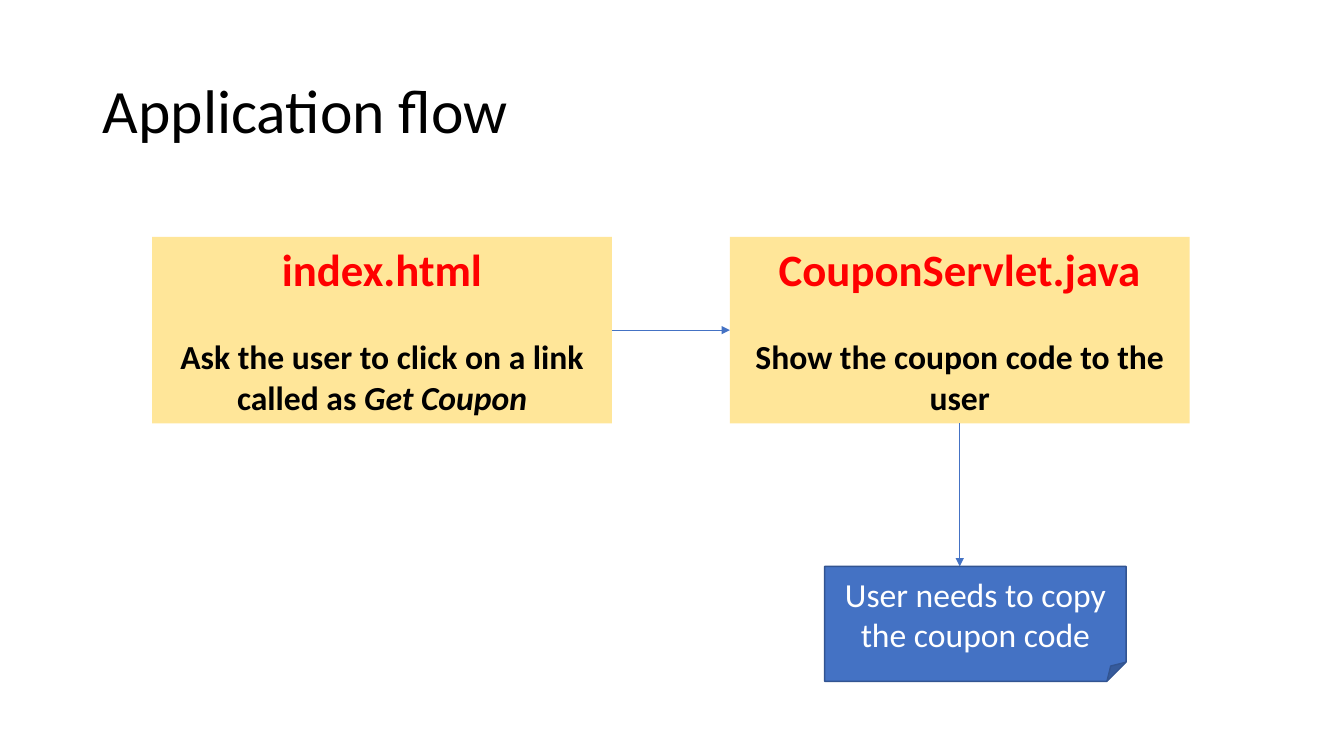
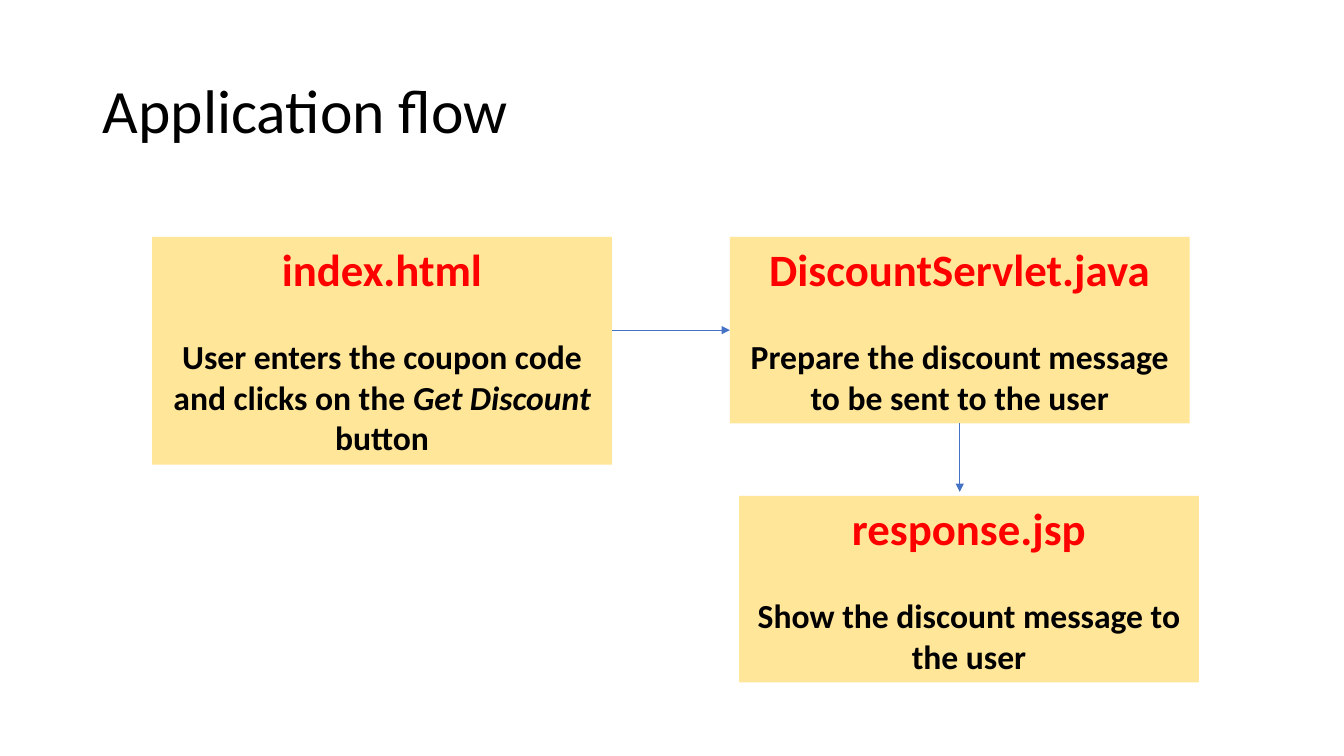
from dataclasses import dataclass

from lxml import etree
from pptx import Presentation
from pptx import util as u
from pptx.dml.color import RGBColor as Rgb
from pptx.enum import shapes, text
from pptx.oxml import ns


@dataclass(frozen=True)
class Theme:
    face: str = "Calibri"
    ink: str = "000000"
    head: str = "FF0000"
    card: str = "FFE699"
    blue: str = "4472C4"
    edge: str = "325491"
    pale: str = "FFFFFF"
    big: int = 44
    mid: int = 32
    base: int = 24
    hair: float = 0.5
    rim: int = 1


LEFT, RIGHT = 11.33, 54.31
TOP, LOW = 31.33, 65.6
WIDE, HIGH, TALL = 34.2, 24.67, 30.13
MID = RIGHT + WIDE / 2
FLOW = TOP + HIGH / 2
WEST, SOUTH, EAST = 1, 2, 3


class Deck:
    def __init__(self, theme):
        self.theme = theme
        self.show = Presentation()
        self.show.slide_width = u.Inches(13.33)
        self.show.slide_height = u.Inches(7.5)
        self.slide = None

    def place(self, *shares):
        sizes = (self.show.slide_width, self.show.slide_height) * 2
        return [u.Emu(round(size * share / 100)) for size, share in zip(sizes, shares)]

    def style(self, para, size, color, bold=False, align=text.PP_ALIGN.CENTER):
        font = para.font
        font.name, font.size, font.bold = self.theme.face, u.Pt(size), bold
        font.color.rgb = Rgb.from_string(color)
        para.alignment = align

    def page(self, title):
        self.slide = self.show.slides.add_slide(self.show.slide_layouts[5])
        head = self.slide.shapes.title
        head.left, head.top, head.width, head.height = self.place(6.9, 5.33, 86.27, 19.33)
        frame = head.text_frame
        frame.text = title
        frame.auto_size = text.MSO_AUTO_SIZE.NONE
        frame.vertical_anchor = text.MSO_ANCHOR.MIDDLE
        para = frame.paragraphs[0]
        para.line_spacing = 0.9
        self.style(para, self.theme.big, self.theme.ink, align=text.PP_ALIGN.LEFT)

    def shape(self, kind, area, fill):
        item = self.slide.shapes.add_shape(kind, *self.place(*area))
        item.shadow.inherit = False
        item.fill.solid()
        item.fill.fore_color.rgb = Rgb.from_string(fill)
        item.text_frame.word_wrap = True
        return item

    def card(self, left, top, height, name, *parts):
        area = (left, top, WIDE, height)
        box = self.shape(shapes.MSO_SHAPE.RECTANGLE, area, self.theme.card)
        box.line.fill.background()
        frame = box.text_frame
        frame.auto_size = text.MSO_AUTO_SIZE.SHAPE_TO_FIT_TEXT
        frame.vertical_anchor = text.MSO_ANCHOR.TOP
        head = frame.paragraphs[0]
        head.text = name
        head.space_after = u.Pt(29)
        self.style(head, self.theme.mid, self.theme.head, True)
        body = frame.add_paragraph()
        self.style(body, self.theme.base, self.theme.ink, True)
        for spot, part in enumerate(parts):
            run = body.add_run()
            run.text = part
            if spot % 2:
                run.font.italic = True
        return box

    def note(self, area, words):
        item = self.shape(shapes.MSO_SHAPE.FOLDED_CORNER, area, self.theme.blue)
        item.line.color.rgb = Rgb.from_string(self.theme.edge)
        item.line.width = u.Pt(self.theme.rim)
        frame = item.text_frame
        frame.text = words
        frame.vertical_anchor = text.MSO_ANCHOR.MIDDLE
        self.style(frame.paragraphs[0], self.theme.base, self.theme.pale)

    def arrow(self, start, end, source=None, target=None):
        link = self.slide.shapes.add_connector(
            shapes.MSO_CONNECTOR.STRAIGHT, *self.place(*start, *end))
        if source:
            link.begin_connect(*source)
        if target:
            link.end_connect(*target)
        link.line.color.rgb = Rgb.from_string(self.theme.blue)
        link.line.width = u.Pt(self.theme.hair)
        props = link.element.spPr
        etree.SubElement(props.find(ns.qn("a:ln")), ns.qn("a:tailEnd"), type="triangle")
        etree.SubElement(props, ns.qn("a:effectLst"))

    def across(self, target, source=None):
        self.arrow((LEFT + WIDE, FLOW), (RIGHT, FLOW), source, (target, WEST))

    def down(self, source, end):
        self.arrow((MID, TOP + HIGH), (MID, end), (source, SOUTH))


def main():
    deck = Deck(Theme())

    deck.page("Application flow")
    index = deck.card(LEFT, TOP, HIGH, "index.html",
                      "Ask the user to click on a link called as ", "Get Coupon")
    coupon = deck.card(RIGHT, TOP, HIGH, "CouponServlet.java",
                       "Show the coupon code to the user")
    deck.across(coupon, (index, EAST))
    deck.down(coupon, 74.93)
    deck.note((61.36, 74.93, 22.43, 15.2), "User needs to copy the coupon code")

    deck.page("Application flow")
    deck.card(LEFT, TOP, TALL, "index.html",
              "User enters the coupon code and clicks on the ", "Get Discount", " button")
    offer = deck.card(RIGHT, TOP, HIGH, "DiscountServlet.java",
                      "Prepare the discount message to be sent to the user")
    deck.across(offer)
    deck.down(offer, 65.07)
    deck.card(55, LOW, HIGH, "response.jsp", "Show the discount message to the user")

    deck.show.save("out.pptx")


if __name__ == "__main__":
    main()
